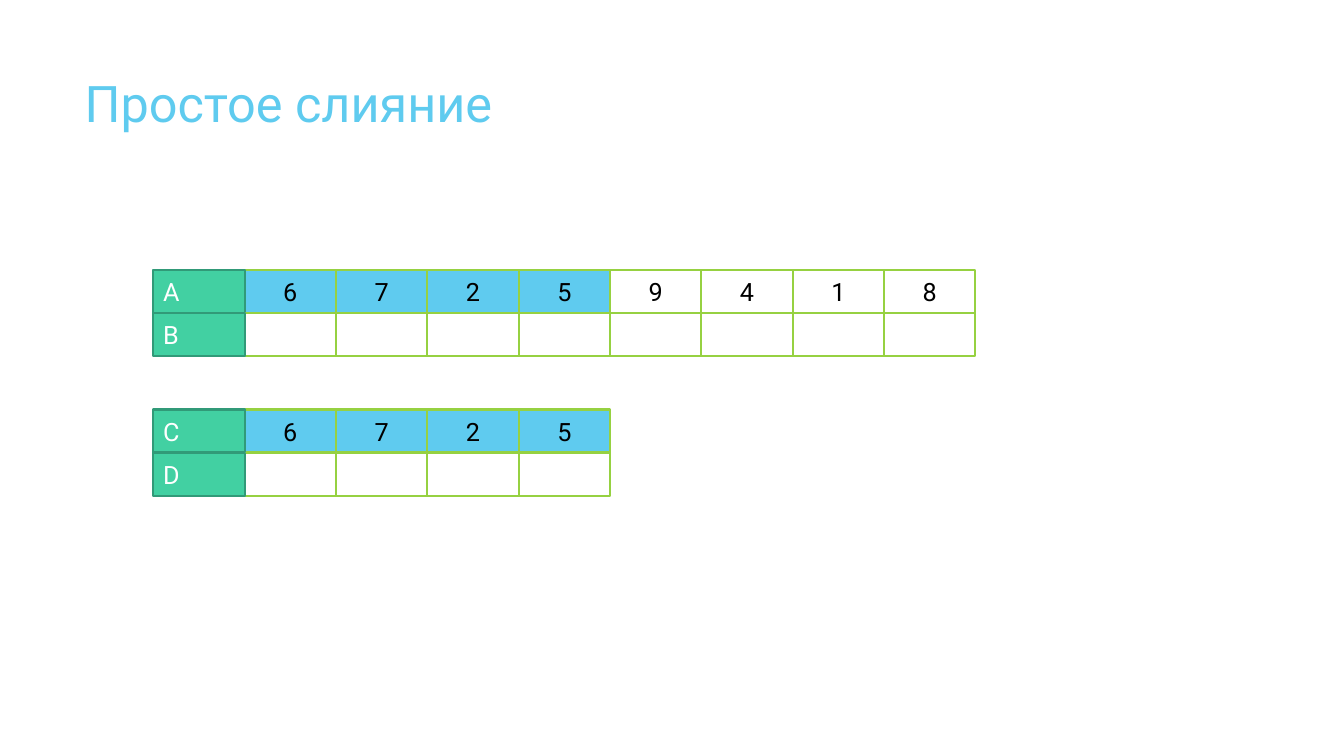
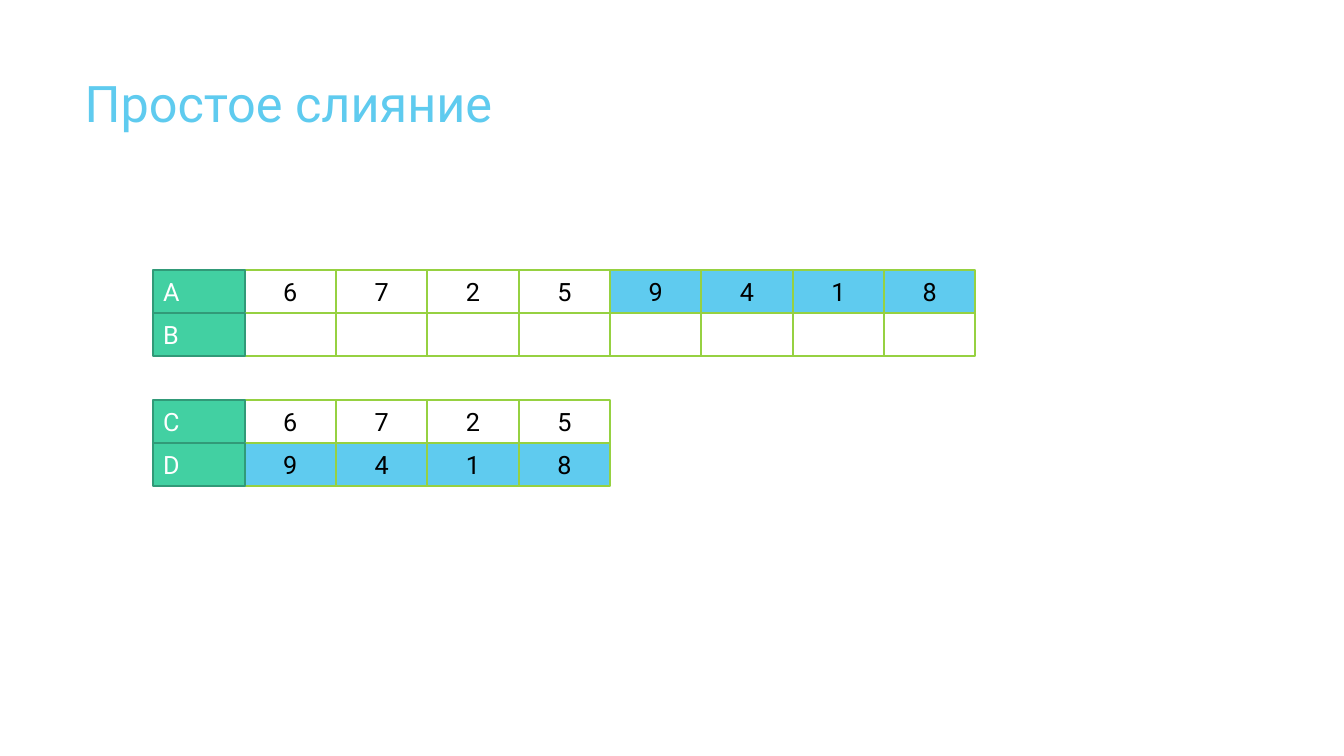
from pptx import Presentation
from pptx.dml.color import RGBColor
from pptx.enum.shapes import MSO_SHAPE
from pptx.enum.text import MSO_ANCHOR, MSO_AUTO_SIZE, PP_ALIGN
from pptx.util import Emu, Pt

RECTANGLE = MSO_SHAPE.RECTANGLE
TOP, MIDDLE = MSO_ANCHOR.TOP, MSO_ANCHOR.MIDDLE
LEFT, CENTER = PP_ALIGN.LEFT, PP_ALIGN.CENTER
NO_AUTOFIT = MSO_AUTO_SIZE.NONE

PX = 9525
FONT = "Roboto"
COLORS = {
    "accent": "5FCBEF",
    "plain": "FFFFFF",
    "grid": "96D141",
    "label": "42D0A2",
    "label_edge": "319A78",
    "digit": "000000",
}
GRID_LEFT = 146
CELL_WIDTH, CELL_HEIGHT = 87, 41

STEPS = [
    [
        ("A", 257, "67259418", range(0, 4)),
        ("B", 298, " " * 8, ()),
        ("C", 390, "6725", range(0, 4)),
        ("D", 431, " " * 4, ()),
    ],
    [
        ("A", 257, "67259418", range(4, 8)),
        ("B", 298, " " * 8, ()),
        ("C", 381, "6725", ()),
        ("D", 422, "9418", range(0, 4)),
    ],
]


def write(shape, text, size, color, align, anchor):
    frame = shape.text_frame
    frame.text = text
    frame.word_wrap = True
    frame.auto_size = NO_AUTOFIT
    frame.vertical_anchor = anchor
    paragraph = frame.paragraphs[0]
    paragraph.alignment = align
    font = paragraph.runs[0].font
    font.name = FONT
    font.size = Pt(size)
    font.color.rgb = RGBColor.from_string(COLORS[color])


def add_cell(slide, column, top, text, fill, edge, color, align):
    cell = slide.shapes.add_shape(
        RECTANGLE,
        Emu((GRID_LEFT + column * CELL_WIDTH) * PX),
        Emu(top * PX),
        Emu(CELL_WIDTH * PX),
        Emu(CELL_HEIGHT * PX),
    )
    cell.shadow.inherit = False
    cell.fill.solid()
    cell.fill.fore_color.rgb = RGBColor.from_string(COLORS[fill])
    cell.line.color.rgb = RGBColor.from_string(COLORS[edge])
    cell.line.width = Pt(1.5)
    if text:
        write(cell, text, 18, color, align, MIDDLE)


deck = Presentation()
deck.slide_width, deck.slide_height = Emu(1280 * PX), Emu(720 * PX)
title_only = deck.slide_layouts[5]

for sequences in STEPS:
    slide = deck.slides.add_slide(title_only)
    title = slide.shapes.title
    title.left, title.top = Emu(71 * PX), Emu(64 * PX)
    title.width, title.height = Emu(902 * PX), Emu(138 * PX)
    write(title, "Простое слияние", 36, "accent", LEFT, TOP)

    for label, top, digits, highlighted in sequences:
        for index, digit in enumerate(digits):
            fill = "accent" if index in highlighted else "plain"
            add_cell(slide, index + 1, top, digit.strip(), fill, "grid", "digit", CENTER)
        add_cell(slide, 0, top, label, "label", "label_edge", "plain", LEFT)

deck.save("out.pptx")
